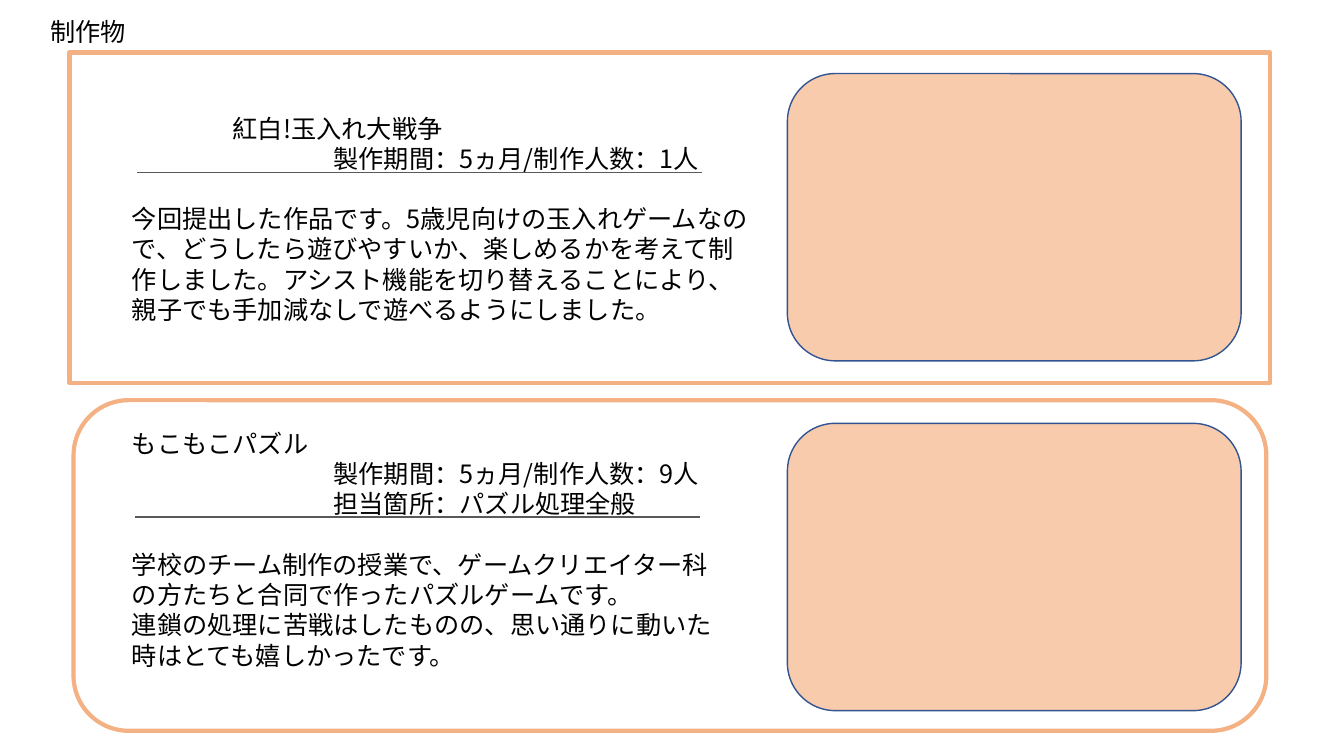
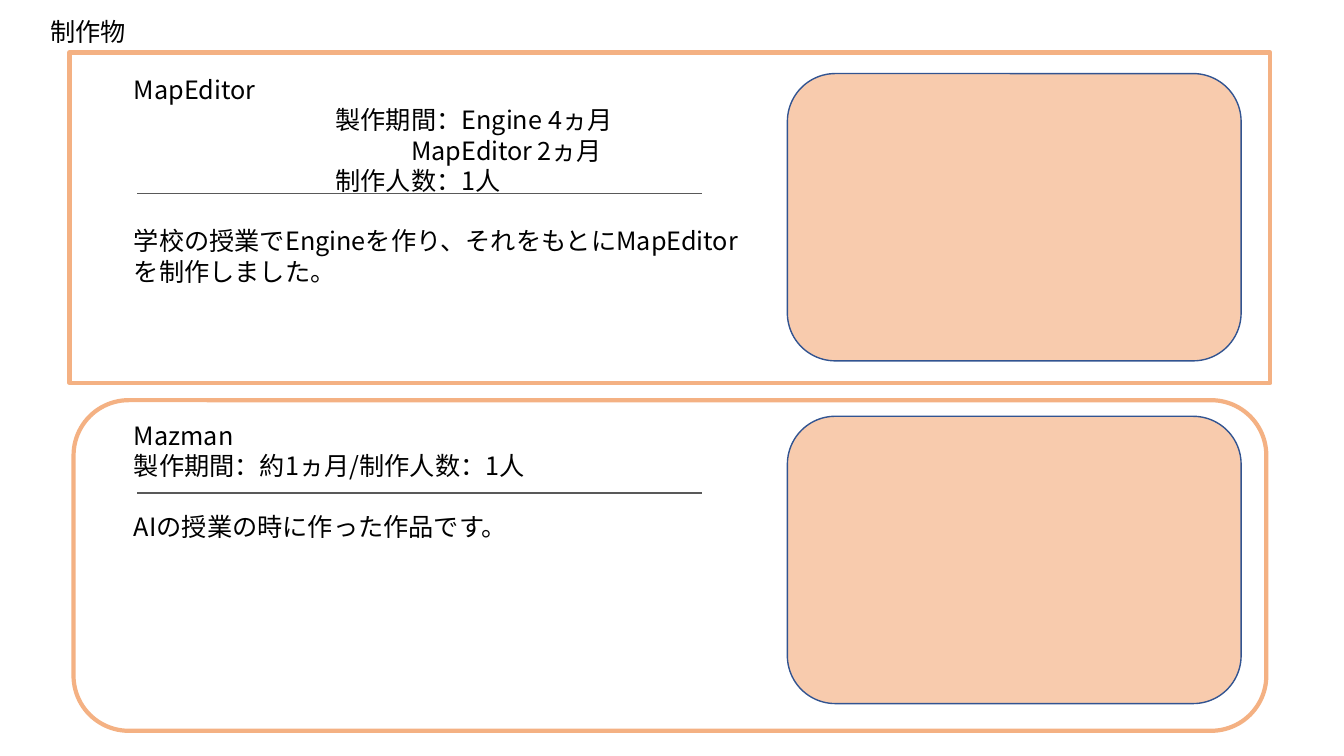
import pptx
import pptx.util
import pptx.dml.color
import pptx.enum.shapes
import pptx.oxml.ns
import lxml.etree

Inches, Pt = pptx.util.Inches, pptx.util.Pt
SHAPE = pptx.enum.shapes.MSO_SHAPE
qn = pptx.oxml.ns.qn

FONT = "Noto Sans CJK JP"
SIZE, LINE_PITCH = 18, 21.6
INK, RULE = "000000", "595959"
FRAME, PANEL, PANEL_EDGE = "F4B183", "F8CBAD", "325491"
RECT_BOX = (0.69, 0.52, 11.91, 3.28)
ROUND_BOX = (0.73, 3.97, 11.83, 3.28)


def rgb(value):
    return pptx.dml.color.RGBColor.from_string(value)


def add_paragraph(tf, text, first=False, indent=0, gap=0):
    p = tf.paragraphs[0] if first else tf.add_paragraph()
    p.line_spacing = Pt(LINE_PITCH)
    p.space_before = Pt(gap)
    if indent:
        p._p.get_or_add_pPr().set("marL", str(Inches(indent)))
    r = p.add_run()
    r.text = text
    r.font.size = Pt(SIZE)
    r.font.name = FONT
    r.font.color.rgb = rgb(INK)
    ea = lxml.etree.SubElement(r._r.get_or_add_rPr(), qn("a:ea"))
    ea.set("typeface", FONT)


def add_text(s, box, paragraphs, wrap=True):
    """Each paragraph is (text, format keywords)."""
    tf = s.shapes.add_textbox(*map(Inches, box)).text_frame
    tf.word_wrap = wrap
    for i, (text, style) in enumerate(paragraphs):
        add_paragraph(tf, text, first=i == 0, **style)


def add_box(s, kind, box, line, width, fill=None):
    sp = s.shapes.add_shape(kind, *map(Inches, box))
    sp.shadow.inherit = False
    if fill:
        sp.fill.solid()
        sp.fill.fore_color.rgb = rgb(fill)
    else:
        sp.fill.background()
    sp.line.color.rgb = rgb(line)
    sp.line.width = Pt(width)


def add_rule(s, x, y, length=5.6):
    line = s.shapes.add_connector(
        pptx.enum.shapes.MSO_CONNECTOR.STRAIGHT,
        Inches(x), Inches(y), Inches(x + length), Inches(y))
    line.line.color.rgb = rgb(RULE)
    line.line.width = Pt(1)
    lxml.etree.SubElement(line._element.spPr, qn("a:effectLst"))


def add_work(s, kind, box, panel_top, text_box, rule, title, facts, body,
             title_indent=0, fact_indent=2):
    """One framed work: heading, facts, rule, description and panel."""
    x, y, w, h = box
    add_box(s, kind, box, FRAME, 3)
    add_box(s, SHAPE.ROUNDED_RECTANGLE, (7.81, y + panel_top, 4.5, 2.85),
            PANEL_EDGE, 1, PANEL)
    paragraphs = [(title, {"indent": title_indent})]
    paragraphs += [(fact, {"indent": fact_indent}) for fact in facts]
    paragraphs += [(text, {"gap": 0 if i else LINE_PITCH})
                   for i, text in enumerate(body)]
    left, top, width, height = text_box
    add_text(s, (left, y + top, width, height), paragraphs)
    add_rule(s, rule[0], y + rule[1])


def add_works_slide(prs, upper, lower):
    s = prs.slides.add_slide(prs.slide_layouts[6])
    add_text(s, (0.4, 0.11, 0.96, 0.4), [("制作物", {})], wrap=False)
    add_work(s, SHAPE.RECTANGLE, RECT_BOX, 0.21, **upper)
    add_work(s, SHAPE.ROUNDED_RECTANGLE, ROUND_BOX, **lower)


prs = pptx.Presentation()
prs.slide_width, prs.slide_height = Inches(13.33), Inches(7.5)

# Ball toss game and team puzzle
add_works_slide(
    prs,
    upper=dict(
        text_box=(1.21, 0.55, 6.31, 2.52), rule=(1.36, 1.19),
        title="紅白!玉入れ大戦争", title_indent=1,
        facts=["製作期間：5ヵ月/制作人数：1人"],
        body=["今回提出した作品です。5歳児向けの玉入れゲームなので、"
              "どうしたら遊びやすいか、楽しめるかを考えて制作しました。"
              "アシスト機能を切り替えることにより、"
              "親子でも手加減なしで遊べるようにしました。"]),
    lower=dict(
        panel_top=0.23, text_box=(1.21, 0.23, 6.32, 2.83), rule=(1.34, 1.16),
        title="もこもこパズル",
        facts=["製作期間：5ヵ月/制作人数：9人", "担当箇所：パズル処理全般"],
        body=["学校のチーム制作の授業で、ゲームクリエイター科",
              "の方たちと合同で作ったパズルゲームです。",
              "連鎖の処理に苦戦はしたものの、思い通りに動いた",
              "時はとても嬉しかったです。"]))

# Map editor and maze game
add_works_slide(
    prs,
    upper=dict(
        text_box=(1.23, 0.17, 6.31, 2.22), rule=(1.36, 1.4),
        title="MapEditor",
        facts=["製作期間：Engine\t4ヵ月", "\t　MapEditor\t2ヵ月",
               "制作人数：1人"],
        body=["学校の授業でEngineを作り、それをもとにMapEditorを制作しました。"]),
    lower=dict(
        panel_top=0.16, text_box=(1.23, 0.15, 5.86, 1.31), rule=(1.36, 0.92),
        title="Mazman", fact_indent=0,
        facts=["製作期間：約1ヵ月/制作人数：1人"],
        body=["AIの授業の時に作った作品です。"]))

prs.save("out.pptx")
